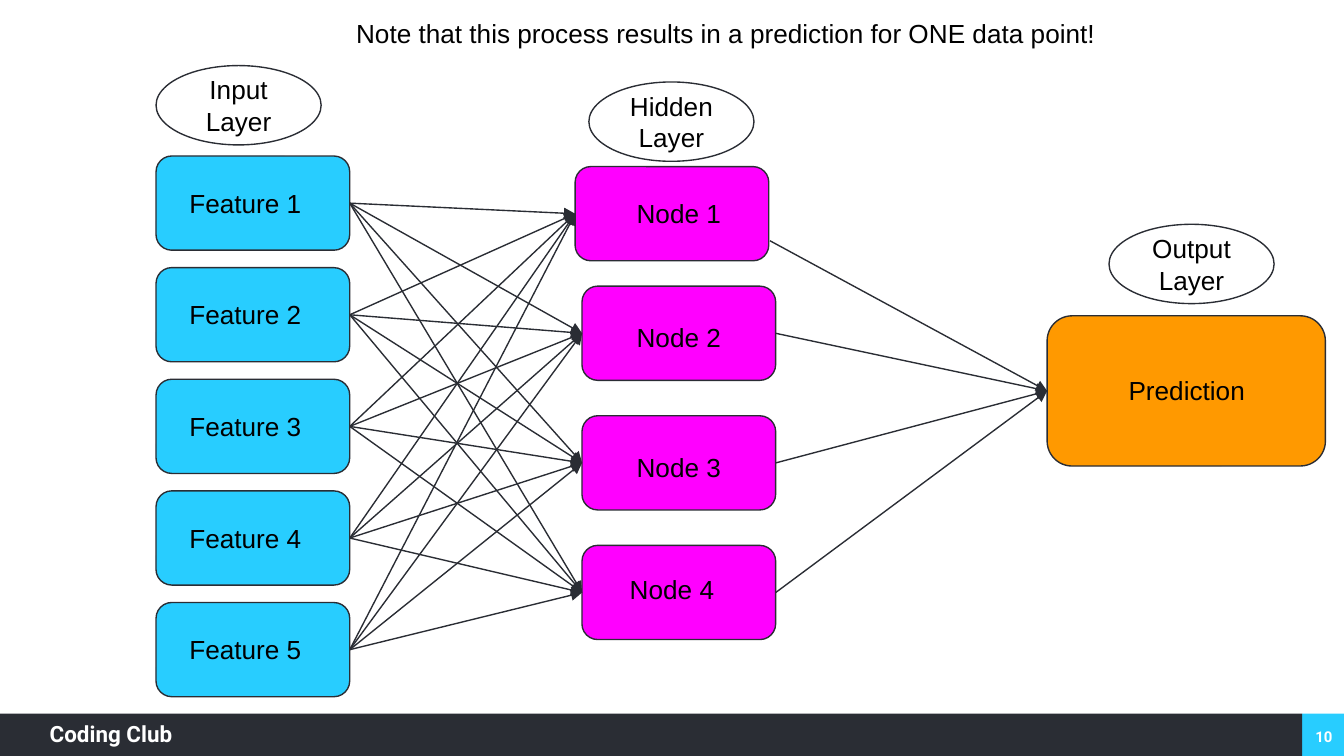
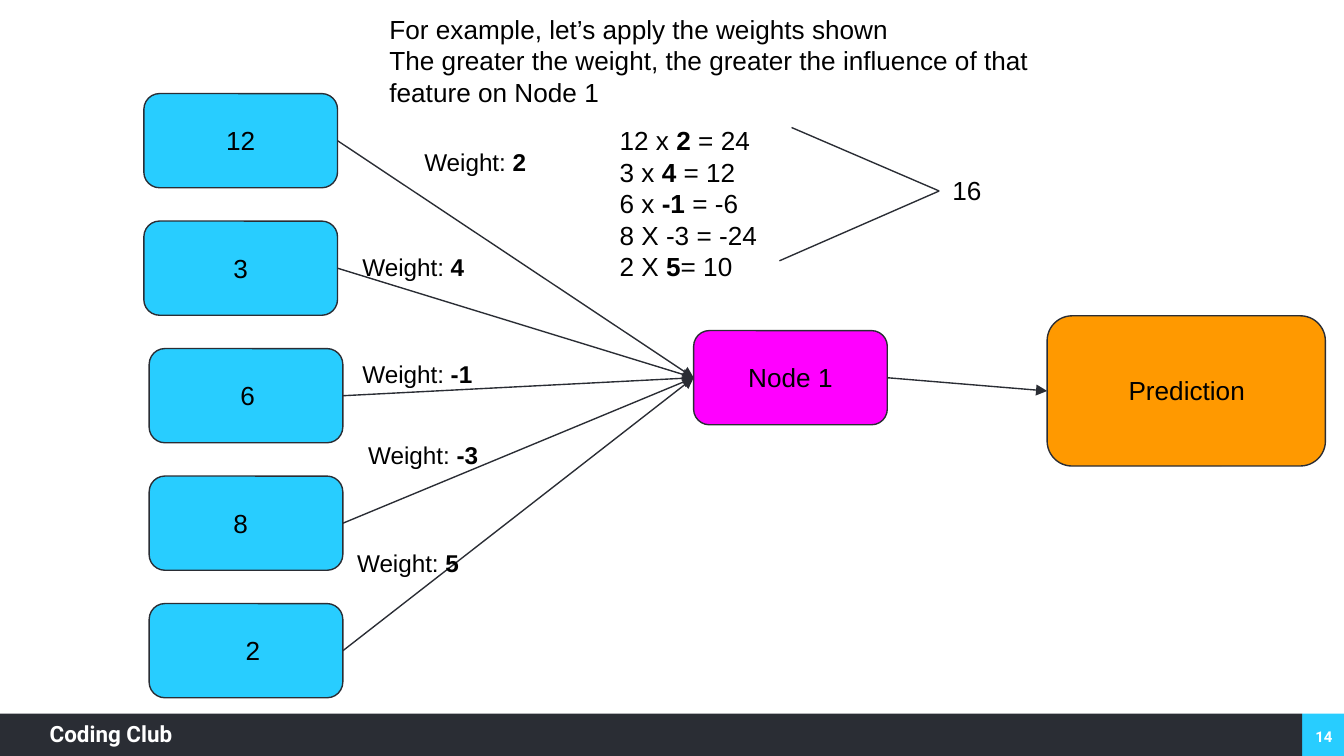
"""Builds two slides that explain a small neural network."""
from dataclasses import dataclass

from lxml import etree
from pptx import Presentation
from pptx import util as u
from pptx.dml.color import RGBColor
from pptx.enum import shapes, text
from pptx.oxml import ns


@dataclass(frozen=True)
class Theme:
    ink: str = "2A2D34"
    input_fill: str = "28CDFF"
    hidden_fill: str = "FF00FF"
    output_fill: str = "FF9900"
    white: str = "FFFFFF"
    black: str = "000000"
    body_font: str = "Arial"
    footer_font: str = "Roboto"
    body_size: float = 14
    weight_size: float = 13
    brand_size: float = 12
    number_size: float = 8
    line_width: float = 0.75


LEFT, CENTER = text.PP_ALIGN.LEFT, text.PP_ALIGN.CENTER
TOP, MIDDLE = text.MSO_ANCHOR.TOP, text.MSO_ANCHOR.MIDDLE
SHAPE = shapes.MSO_SHAPE
LEFT_SITE, RIGHT_SITE = 1, 3
CARD_SIZE = (3.66, 1.78)
LABEL_SIZE = (2.9, 1.12)
LABEL_DROP = 0.34


class Painter:
    def __init__(self, deck, theme):
        self.deck = deck
        self.theme = theme
        self.page = None

    def new_page(self, number):
        theme = self.theme
        self.page = self.deck.slides.add_slide(self.deck.slide_layouts[6])
        self.page.background.fill.solid()
        self.page.background.fill.fore_color.rgb = RGBColor.from_string(theme.white)
        self.shape(SHAPE.RECTANGLE, 24.61, 13.49, 0.79, 0.8, theme.input_fill, outlined=False)
        self.shape(SHAPE.RECTANGLE, 0, 13.49, 24.61, 0.8, theme.ink, outlined=False)
        self.footer_text("Coding Club", (0.94, 13.61, 3.99, 0.58), theme.brand_size,
                         (0, 0), LEFT, TOP)
        self.footer_text(number, (24.64, 13.54, 0.76, 0.76), theme.number_size,
                         (0.18, 0.1), CENTER, MIDDLE)

    def footer_text(self, words, place, size, inset, align, anchor):
        box = self.page.shapes.add_textbox(*map(u.Cm, place))
        self.fill_text(box, [words], size, align, anchor, inset,
                       self.theme.footer_font, self.theme.white, bold=True)

    def shape(self, kind, left, top, width, height, fill, outlined=True):
        item = self.page.shapes.add_shape(kind, *map(u.Cm, (left, top, width, height)))
        item.shadow.inherit = False
        item.fill.solid()
        item.fill.fore_color.rgb = RGBColor.from_string(fill)
        if outlined:
            self.stroke(item.line)
        else:
            item.line.fill.background()
        return item

    def stroke(self, line):
        line.color.rgb = RGBColor.from_string(self.theme.ink)
        line.width = u.Pt(self.theme.line_width)

    def card(self, left, top, fill, size=CARD_SIZE):
        return self.shape(SHAPE.ROUNDED_RECTANGLE, left, top, *size, fill)

    def layer_name(self, words, left, top):
        oval = self.shape(SHAPE.OVAL, left, top, 3.12, 1.5, self.theme.white)
        self.fill_text(oval, [words], self.theme.body_size, CENTER, MIDDLE)

    def label(self, lines, left, top, width, height, align=LEFT, size=None):
        box = self.page.shapes.add_textbox(*map(u.Cm, (left, top, width, height)))
        self.fill_text(box, lines, size or self.theme.body_size, align)
        box.text_frame.auto_size = text.MSO_AUTO_SIZE.SHAPE_TO_FIT_TEXT

    def fill_text(self, box, lines, size, align=LEFT, anchor=TOP, inset=(0.25, 0.25),
                  face=None, color=None, bold=False):
        frame = box.text_frame
        frame.word_wrap = True
        frame.vertical_anchor = anchor
        frame.margin_left = frame.margin_right = u.Cm(inset[0])
        frame.margin_top = frame.margin_bottom = u.Cm(inset[1])
        for index, line in enumerate(lines):
            para = frame.paragraphs[0] if index == 0 else frame.add_paragraph()
            para.alignment = align
            fonts = [(para.font, bold)]
            for part, words in enumerate(line.split("**")):
                if words:
                    span = para.add_run()
                    span.text = words
                    fonts.append((span.font, bold or part % 2 == 1))
            for font, heavy in fonts:
                font.name = face or self.theme.body_font
                font.size = u.Pt(size)
                font.bold = heavy
                font.color.rgb = RGBColor.from_string(color or self.theme.black)

    def line(self, start, end, arrow=False):
        connector = self.page.shapes.add_connector(
            shapes.MSO_CONNECTOR.STRAIGHT, *map(u.Cm, (*start, *end)))
        self.stroke(connector.line)
        properties = connector._element.spPr
        if arrow:
            etree.SubElement(properties.find(ns.qn("a:ln")), ns.qn("a:tailEnd"),
                             type="triangle")
        etree.SubElement(properties, ns.qn("a:effectLst"))
        return connector

    def link(self, source, target):
        connector = self.line((0, 0), (1, 1), arrow=True)
        connector.begin_connect(source, RIGHT_SITE)
        connector.end_connect(target, LEFT_SITE)

    def prediction(self):
        card = self.card(19.79, 5.97, self.theme.output_fill, (5.26, 2.84))
        self.label(["Prediction"], 20.6, 6.83, 3.66, 1.12, CENTER)
        return card


def network_page(painter):
    theme = painter.theme
    painter.new_page("10")
    features = []
    for index in range(5):
        top = 2.95 + 2.11 * index
        features.append(painter.card(2.95, top, theme.input_fill))
        painter.label([f"Feature {index + 1}"], 3.33, top + LABEL_DROP, *LABEL_SIZE)
    prediction = painter.prediction()
    painter.label(["Note that this process results in a prediction for ONE data point!"],
                  6.48, 0.08, 14.96, 1.12)

    places = [(10.87, 3.15, 11.38, 3.48), (11, 5.41, 11.38, 5.82),
              (11, 7.86, 11.38, 8.28), (11, 10.31, 11.25, 10.59)]
    nodes = []
    for number, (left, top, label_left, label_top) in enumerate(places, 1):
        nodes.append(painter.card(left, top, theme.hidden_fill))
        painter.label([f"Node {number}"], label_left, label_top, *LABEL_SIZE, CENTER)
    for node in nodes:
        for feature in features:
            painter.link(feature, node)
    painter.line((14.55, 4.55), (19.79, 7.39), arrow=True)
    for node in nodes[1:]:
        painter.link(node, prediction)

    painter.layer_name("Input Layer", 2.95, 1.24)
    painter.layer_name("Hidden Layer", 11.13, 1.55)
    painter.layer_name("Output Layer", 20.96, 4.24)


def weights_page(painter):
    theme = painter.theme
    painter.new_page("14")
    inputs = [("12", 2.72, 3.1), ("3", 2.72, 3.1), ("6", 2.82, 3.23),
              ("8", 2.82, 3.1), ("2", 2.82, 3.33)]
    features = []
    for index, (value, left, label_left) in enumerate(inputs):
        top = 1.77 + 2.41 * index
        features.append(painter.card(left, top, theme.input_fill))
        painter.label([value], label_left, top + LABEL_DROP, *LABEL_SIZE, CENTER)
    prediction = painter.prediction()
    painter.label(["For example, let’s apply the weights shown",
                   "The greater the weight, the greater the influence of that "
                   "feature on Node 1"], 7.11, 0, 13.82, 2.31)

    node = painter.card(13.11, 6.25, theme.hidden_fill)
    painter.label(["Node 1"], 13.49, 6.58, *LABEL_SIZE, CENTER)
    for feature in features:
        painter.link(feature, node)
    painter.link(node, prediction)

    weights = [("2", 7.77, 2.54), ("4", 6.6, 4.52), ("-1", 6.6, 6.55),
               ("-3", 6.71, 8.08), ("5", 6.5, 10.11)]
    for weight, left, top in weights:
        painter.label([f"Weight: **{weight}**"], left, top, 3.15, 1.07,
                      size=theme.weight_size)

    painter.label(["12 x **2 **= 24", "3 x **4 **= 12", "6 x **-1 **= -6",
                   "8 X -3 = -24", "2 X **5**= 10"], 11.46, 2.11, 8.33, 3.51)
    for start in ((14.96, 2.41), (14.73, 4.93)):
        painter.line(start, (17.75, 3.61))
    painter.label(["16"], 17.75, 3.05, 2.03, 1.12)


def main():
    deck = Presentation()
    deck.slide_width, deck.slide_height = u.Cm(25.4), u.Cm(14.29)
    painter = Painter(deck, Theme())
    network_page(painter)
    weights_page(painter)
    deck.save("out.pptx")


main()
